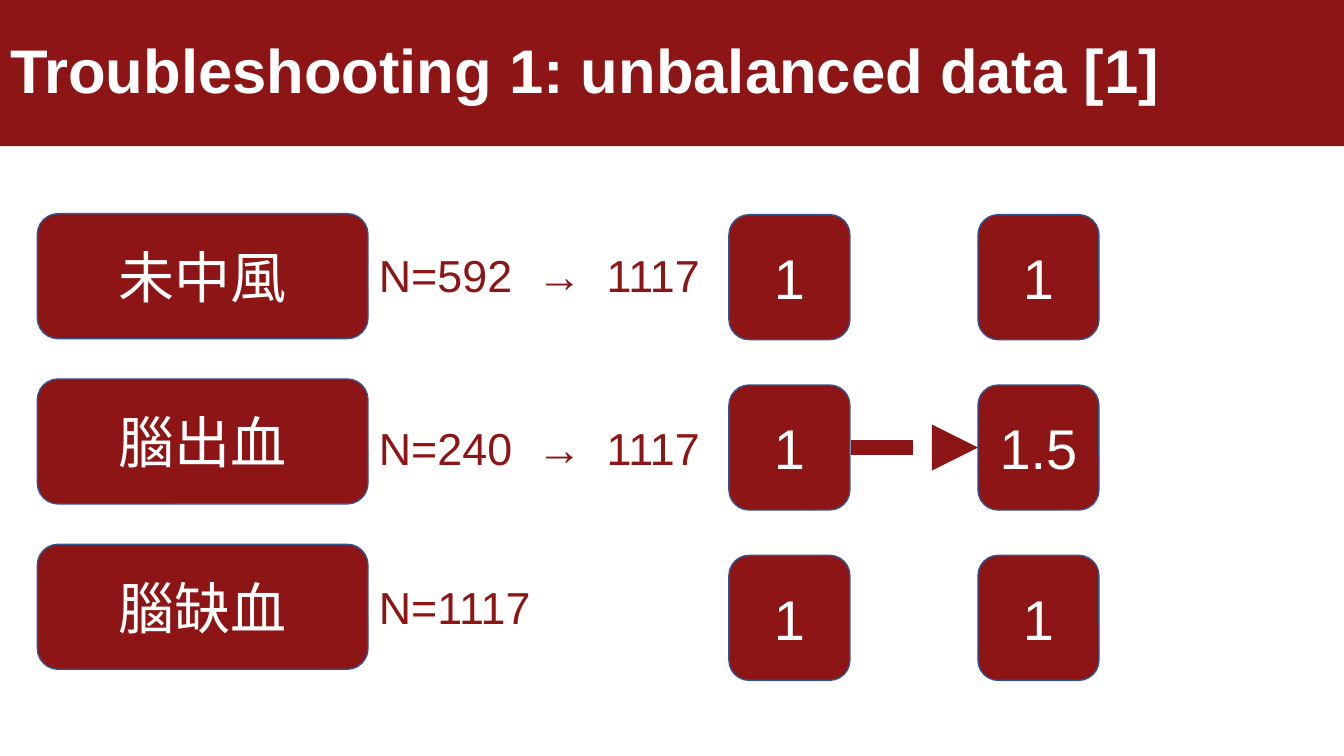
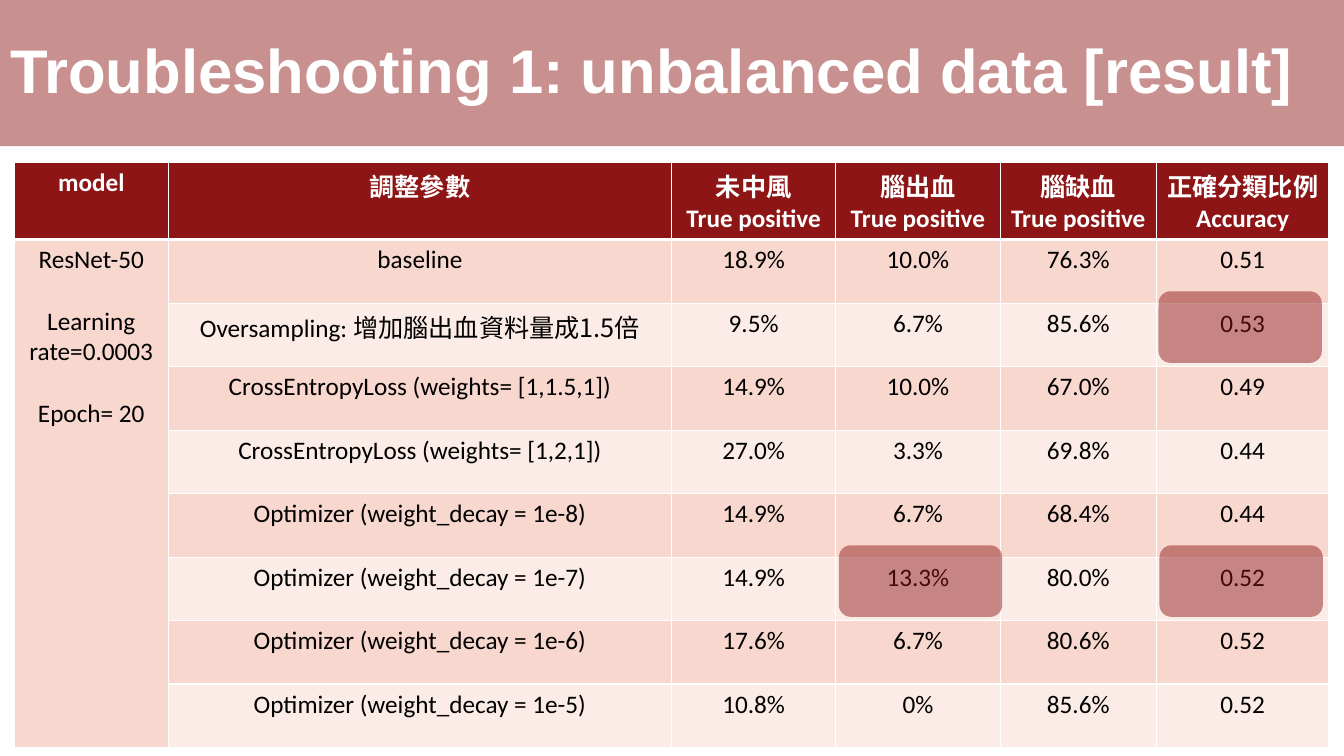
from lxml import etree
from pptx import Presentation
from pptx.dml.color import RGBColor
from pptx.enum import dml, shapes, text
from pptx.oxml.ns import qn
from pptx.util import Inches, Pt

COLORS = {
    "crimson": "8D1515",
    "white": "FFFFFF",
    "black": "000000",
    "outline": "325491",
    "row_dark": "F8D7CE",
    "row_light": "FCECE8",
}
CJK_FONT = "Noto Sans CJK TC"
SHAPE = shapes.MSO_SHAPE
CENTER = text.PP_ALIGN.CENTER


def paint(shape, color, opacity=100):
    shape.fill.solid()
    shape.fill.fore_color.rgb = RGBColor.from_string(COLORS[color])
    if opacity < 100:
        solid_color = shape.fill._xPr.find(qn("a:solidFill"))[0]
        etree.SubElement(solid_color, qn("a:alpha"), val=str(opacity * 1000))


def add_run(paragraph, words, size, color, font="Arial", bold=False):
    """Add one run, using the CJK font when the words hold Chinese characters."""
    if any(ord(letter) > 0x2E80 for letter in words):
        font = CJK_FONT
    run = paragraph.add_run()
    run.text = words
    run.font.size = Pt(size)
    run.font.bold = bold
    run.font.color.rgb = RGBColor.from_string(COLORS[color])
    run.font.name = font
    etree.SubElement(run._r.get_or_add_rPr(), qn("a:ea"), typeface=font)


presentation = Presentation()
presentation.slide_width = Inches(13.33)
presentation.slide_height = Inches(7.5)

# Both slides: title band
slides = []
for heading, opacity in [("Troubleshooting 1: unbalanced data [1]", 100),
                         ("Troubleshooting 1: unbalanced data [result]", 47)]:
    slide = presentation.slides.add_slide(presentation.slide_layouts[5])
    title = slide.shapes.title
    title.left, title.top = Inches(0), Inches(0)
    title.width, title.height = presentation.slide_width, Inches(1.45)
    paint(title, "crimson", opacity)
    frame = title.text_frame
    frame.auto_size = text.MSO_AUTO_SIZE.NONE
    frame.vertical_anchor = text.MSO_ANCHOR.MIDDLE
    paragraph = frame.paragraphs[0]
    paragraph.alignment = text.PP_ALIGN.LEFT
    paragraph.line_spacing = 0.9
    add_run(paragraph, heading, 44, "white", bold=True)
    slides.append(slide)
balance_slide, result_slide = slides

# Slide 1: columns of rounded boxes (left, top, width, row step, labels)
box_columns = [
    (0.37, 2.12, 3.28, 1.64, ["未中風", "腦出血", "腦缺血"]),
    (7.23, 2.13, 1.2, 1.69, ["1", "1", "1"]),
    (9.7, 2.13, 1.2, 1.69, ["1", "1.5", "1"]),
]
for left, top, width, step, labels in box_columns:
    for row, label in enumerate(labels):
        box = balance_slide.shapes.add_shape(
            SHAPE.ROUNDED_RECTANGLE, Inches(left), Inches(top + row * step),
            Inches(width), Inches(1.24))
        box.shadow.inherit = False
        paint(box, "crimson")
        box.line.color.rgb = RGBColor.from_string(COLORS["outline"])
        box.line.width = Pt(1)
        box.text_frame.vertical_anchor = text.MSO_ANCHOR.MIDDLE
        paragraph = box.text_frame.paragraphs[0]
        paragraph.alignment = CENTER
        add_run(paragraph, label, 40, "white")

# Slide 1: sample counts, aligned with tab stops
for top, count in [(2.41, "N=592\t→\t1117"), (4.12, "N=240\t→\t1117"), (5.7, "N=1117")]:
    count_box = balance_slide.shapes.add_textbox(
        Inches(3.66), Inches(top), Inches(3.5), Inches(0.64))
    count_box.text_frame.word_wrap = True
    paragraph = count_box.text_frame.paragraphs[0]
    tabs = etree.SubElement(paragraph._p.get_or_add_pPr(), qn("a:tabLst"))
    for position in (1.57, 2.26):
        etree.SubElement(tabs, qn("a:tab"), pos=str(Inches(position)), algn="l")
    add_run(paragraph, count, 32, "crimson")

# Slide 1: arrow between the weights
arrow = balance_slide.shapes.add_connector(
    shapes.MSO_CONNECTOR.STRAIGHT, Inches(8.44), Inches(4.44), Inches(9.7), Inches(4.44))
arrow.line.color.rgb = RGBColor.from_string(COLORS["crimson"])
arrow.line.width = Pt(11)
arrow.line.dash_style = dml.MSO_LINE.DASH
etree.SubElement(arrow.line._get_or_add_ln(), qn("a:tailEnd"), type="triangle")
etree.SubElement(arrow._element.spPr, qn("a:effectLst"))

# Slide 2: result table; a cell is a list of paragraphs, a paragraph a list of runs
header = [
    [["model"]],
    [["調整參數"]],
    [["未中風"], ["True positive"]],
    [["腦出血"], ["True positive"]],
    [["腦缺血"], ["True positive"]],
    [["正確分類比例"], ["Accuracy"]],
]
settings = [["ResNet-50"], ["Learning rate=0.0003"], ["Epoch= 20"]]
results = [
    (["baseline"], "18.9%", "10.0%", "76.3%", "0.51"),
    (["Oversampling: ", "增加腦出血資料量成1.5倍"], "9.5%", "6.7%", "85.6%", "0.53"),
    (["CrossEntropyLoss (weights= [1,1.5,1])"], "14.9%", "10.0%", "67.0%", "0.49"),
    (["CrossEntropyLoss (weights= [1,2,1])"], "27.0%", "3.3%", "69.8%", "0.44"),
    (["Optimizer (weight_decay = 1e-8)"], "14.9%", "6.7%", "68.4%", "0.44"),
    (["Optimizer (weight_decay = 1e-7)"], "14.9%", "13.3%", "80.0%", "0.52"),
    (["Optimizer (weight_decay = 1e-6)"], "17.6%", "6.7%", "80.6%", "0.52"),
    (["Optimizer (weight_decay = 1e-5)"], "10.8%", "0%", "85.6%", "0.52"),
]
rows = [header]
for method, *scores in results:
    first_cell = settings if len(rows) == 1 else []
    rows.append([first_cell, [method]] + [[[score]] for score in scores])

column_widths = [1.53, 4.99, 1.63, 1.63, 1.55, 1.71]
table = result_slide.shapes.add_table(
    len(rows), len(column_widths), Inches(0.14), Inches(1.61),
    Inches(sum(column_widths)), Inches(5.8)).table
for column, width in zip(table.columns, column_widths):
    column.width = Inches(width)

for row_index, row in enumerate(rows):
    is_header = row_index == 0
    table.rows[row_index].height = Inches(0.76 if is_header else 0.63)
    row_fill = "crimson" if is_header else "row_dark" if row_index % 2 else "row_light"
    for column_index, paragraphs in enumerate(row):
        cell = table.cell(row_index, column_index)
        for side in "LRTB":
            thick = (row_index, side) in [(0, "B"), (1, "T")]
            border = etree.SubElement(cell._tc.get_or_add_tcPr(), qn("a:ln" + side),
                                      w=str(Pt(3 if thick else 1)))
            border_fill = etree.SubElement(border, qn("a:solidFill"))
            etree.SubElement(border_fill, qn("a:srgbClr"), val=COLORS["white"])
        paint(cell, row_fill)
        for index, runs in enumerate(paragraphs):
            frame = cell.text_frame
            paragraph = frame.add_paragraph() if index else frame.paragraphs[0]
            paragraph.alignment = CENTER
            if index and not is_header:
                paragraph.space_before = Pt(22)
            for words in runs:
                add_run(paragraph, words, 18, "white" if is_header else "black",
                        font="Calibri", bold=is_header)
table.cell(1, 0).merge(table.cell(len(rows) - 1, 0))

# Slide 2: highlights over the best scores
for left, top in [(8.32, 5.41), (11.5, 5.41), (11.49, 2.89)]:
    highlight = result_slide.shapes.add_shape(
        SHAPE.ROUNDED_RECTANGLE, Inches(left), Inches(top), Inches(1.62), Inches(0.71))
    highlight.shadow.inherit = False
    paint(highlight, "crimson", 48)
    highlight.line.fill.background()

presentation.save("out.pptx")
